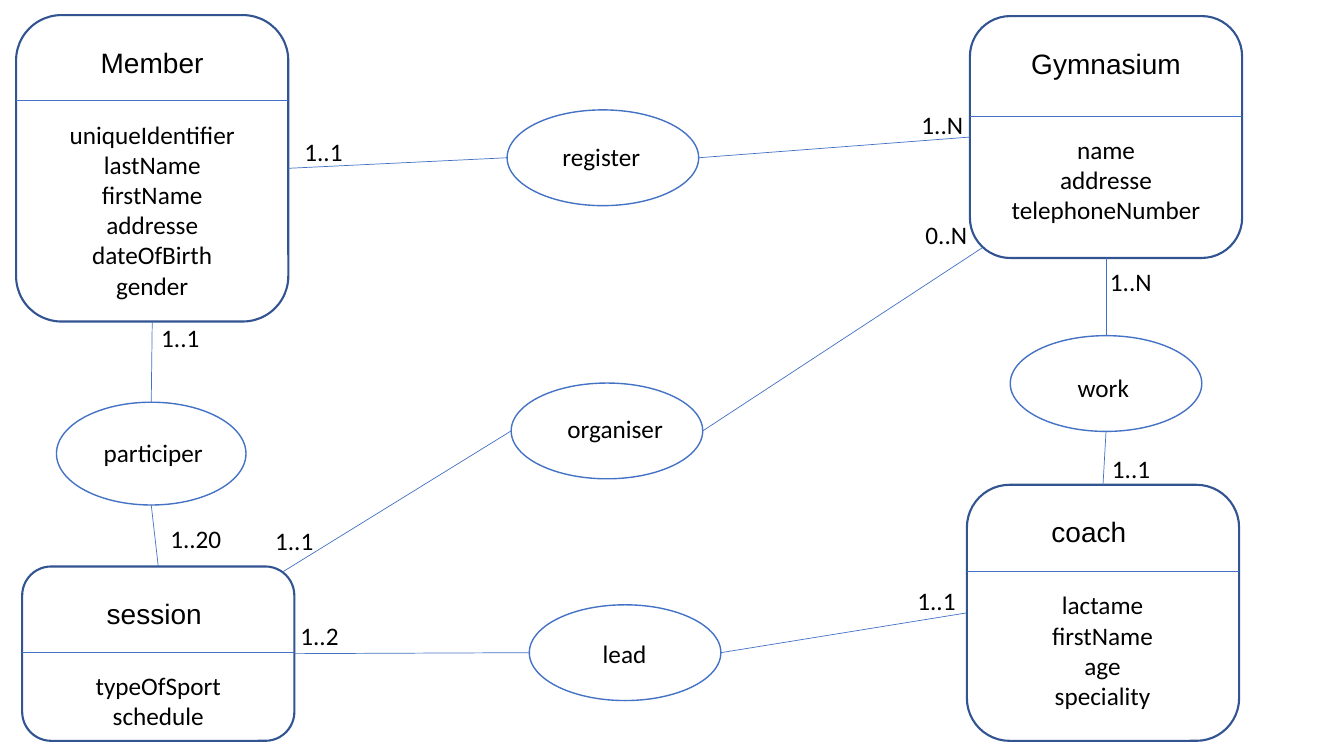
import dataclasses

import pptx
import pptx.dml.color
import pptx.enum.shapes
import pptx.enum.text
import pptx.oxml
import pptx.util

SHAPE = pptx.enum.shapes.MSO_SHAPE
ALIGN = pptx.enum.text.PP_ALIGN
TOP, LEFT, BOTTOM, RIGHT = range(4)


@dataclasses.dataclass(frozen=True)
class Theme:
    ink: str = "000000"
    border: str = "325491"
    accent: str = "4472C4"
    head: str = "Arial"
    body: str = "Calibri"
    big: int = 20
    small: int = 18
    thick: float = 1.5
    thin: float = 1
    hair: float = 0.5


def px(value):
    return pptx.util.Emu(round(value * 9144))


def color(code):
    return pptx.dml.color.RGBColor.from_string(code)


def middle(shape, side):
    across = {LEFT: 0, RIGHT: shape.width}.get(side, shape.width // 2)
    down = {TOP: 0, BOTTOM: shape.height}.get(side, shape.height // 2)
    return shape.left + across, shape.top + down


class Diagram:
    def __init__(self, slide, theme):
        self.slide = slide
        self.theme = theme

    def shape(self, group, kind, box, line, width):
        item = group.shapes.add_shape(kind, *map(px, box))
        item.shadow.inherit = False
        item.fill.background()
        item.line.color.rgb = color(line)
        item.line.width = pptx.util.Pt(width)
        return item

    def text(self, group, box, lines, font, size, align=ALIGN.LEFT):
        frame = group.shapes.add_textbox(*map(px, box)).text_frame
        frame.word_wrap = False
        for index, words in enumerate(lines):
            para = frame.add_paragraph() if index else frame.paragraphs[0]
            para.alignment = align
            run = para.add_run()
            run.text = words
            run.font.name = font
            run.font.size = pptx.util.Pt(size)
            run.font.color.rgb = color(self.theme.ink)

    def label(self, group, left, top, width, words):
        box = (left, top, width, 40)
        self.text(group, box, [words], self.theme.body, self.theme.small)

    def line(self, group, start, end):
        item = group.shapes.add_connector(
            pptx.enum.shapes.MSO_CONNECTOR.STRAIGHT, *start, *end)
        item.line.color.rgb = color(self.theme.accent)
        item.line.width = pptx.util.Pt(self.theme.hair)
        item._element.spPr.append(pptx.oxml.parse_xml(
            '<a:effectLst xmlns:a='
            '"http://schemas.openxmlformats.org/drawingml/2006/main"/>'))
        return item

    def entity(self, box, title, place, rule, fields, width):
        theme = self.theme
        left, top, wide, _ = box
        group = self.slide.shapes.add_group_shape()
        frame = self.shape(group, SHAPE.ROUNDED_RECTANGLE, box,
                           theme.border, theme.thick)
        self.text(group, (place[0], top + 25, place[1], 74), [title],
                  theme.head, theme.big)
        self.line(group, (px(left), px(rule)), (px(left + wide), px(rule)))
        body = (left + (wide - width) // 2, rule + 13, width,
                10 + 30 * len(fields))
        self.text(group, body, fields, theme.body, theme.small, ALIGN.CENTER)
        return frame

    def relation(self, box, words, place):
        group = self.slide.shapes.add_group_shape()
        oval = self.shape(group, SHAPE.OVAL, box,
                          self.theme.accent, self.theme.thin)
        self.label(group, *place, words)
        return oval

    def link(self, frame, side, oval, end):
        item = self.line(self.slide, middle(frame, side), middle(oval, end))
        item.begin_connect(frame, side)
        if end == TOP:
            item.end_connect(oval, TOP)


def main():
    deck = pptx.Presentation()
    deck.slide_width, deck.slide_height = px(1333), px(750)
    slide = deck.slides.add_slide(deck.slide_layouts[6])
    page = Diagram(slide, Theme())

    gym = page.entity((962, 16, 270, 240), "Gymnasium", (1013, 170), 115,
                      ["name", "addresse", "telephoneNumber"], 210)
    member = page.entity((16, 15, 270, 304), "Member", (90, 123), 100,
                         ["uniqueIdentifier", "lastName", "firstName",
                          "addresse", "dateOfBirth", "gender"], 186)
    session = page.entity((22, 562, 270, 173), "session", (96, 115), 647,
                          ["typeOfSport", "schedule"], 146)
    coach = page.entity((959, 481, 270, 254), "coach", (1033, 95), 567,
                        ["lactame", "firstName", "age", "speciality"], 121)

    register = page.relation((503, 109, 190, 95), "register", (548, 135, 98))
    join = page.relation((56, 399, 188, 102), "participer", (93, 429, 119))
    lead = page.relation((525, 600, 190, 95), "lead", (588, 628, 64))
    plan = page.relation((507, 380, 190, 95), "organiser", (553, 405, 116))
    work = page.relation((1002, 333, 190, 95), "work", (1059, 364, 72))

    for ends in [
        (member, RIGHT, register, LEFT),
        (gym, LEFT, register, RIGHT),
        (member, BOTTOM, join, TOP),
        (session, TOP, join, BOTTOM),
        (session, RIGHT, lead, LEFT),
        (coach, LEFT, lead, RIGHT),
        (gym, BOTTOM, work, TOP),
        (coach, TOP, work, BOTTOM),
    ]:
        page.link(*ends)
    page.line(slide, middle(plan, RIGHT), (px(974), px(246)))
    page.line(slide, middle(plan, LEFT), (px(281), px(567)))

    for left, top, width, words in [
        (292, 130, 58, "1..1"),
        (904, 104, 62, "1..N"),
        (159, 514, 71, "1..20"),
        (150, 315, 58, "1..1"),
        (288, 611, 58, "1..2"),
        (900, 576, 58, "1..1"),
        (1091, 259, 62, "1..N"),
        (1093, 445, 58, "1..1"),
        (263, 516, 58, "1..1"),
        (908, 213, 62, "0..N"),
    ]:
        page.label(slide, left, top, width, words)

    deck.save("out.pptx")


if __name__ == "__main__":
    main()
